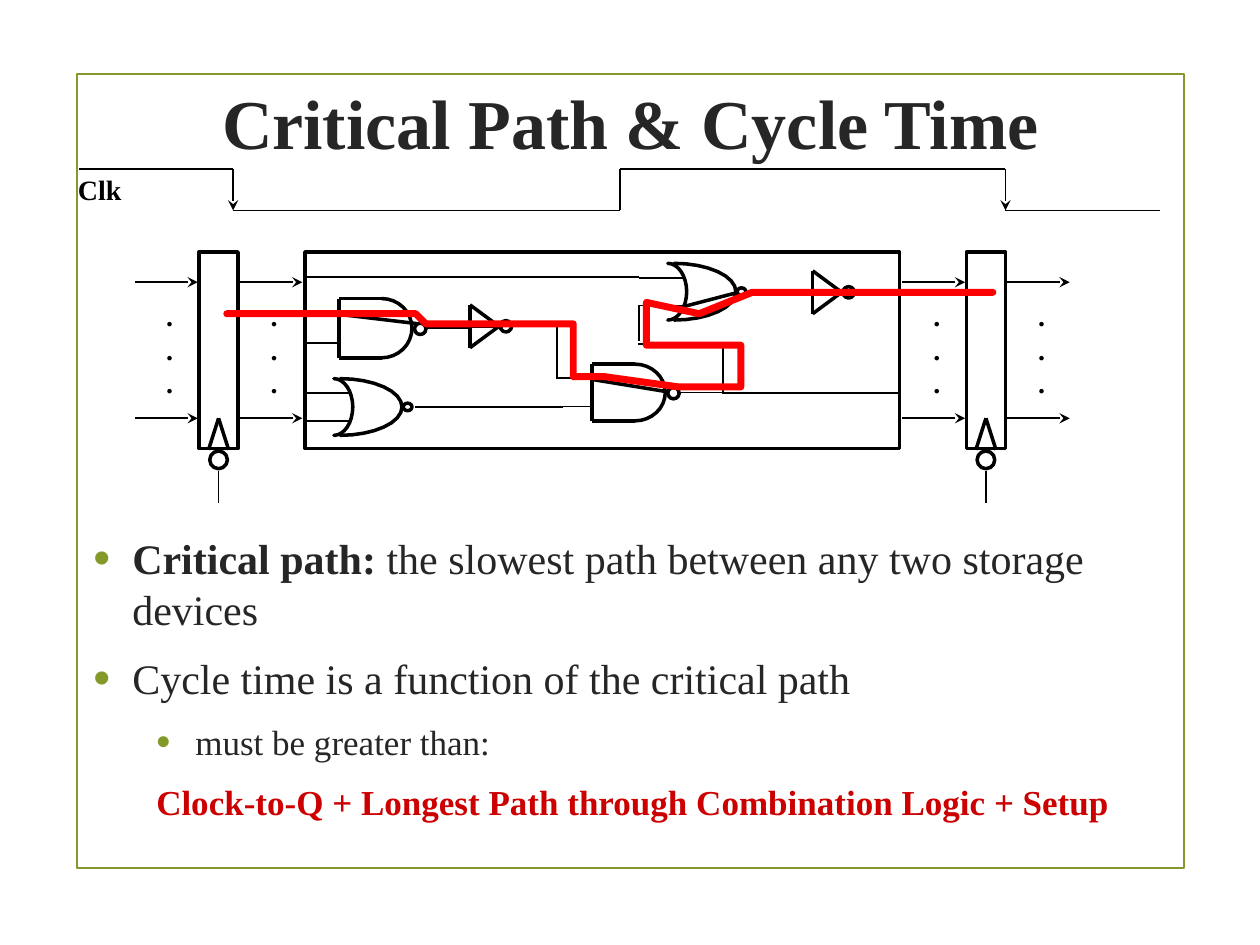
from dataclasses import dataclass
from itertools import pairwise
from math import cos, pi, sin

from lxml.etree import SubElement
from pptx import Presentation
from pptx.dml.color import RGBColor
from pptx.enum.shapes import MSO_CONNECTOR as Connector, MSO_SHAPE as Shape
from pptx.enum.text import MSO_ANCHOR as Anchor, PP_ALIGN as Align
from pptx.oxml.ns import qn
from pptx.util import Cm, Length, Pt

COLORS = {"ink": "000000", "text": "262626", "accent": "83992A",
          "formula": "CC0000", "critical": "FF0000"}
FONT = "Times New Roman"
THIN, THICK = 1, 2
GATE_STEPS = 16

Point = tuple[float, float]


@dataclass(frozen=True)
class Words:
    text: str
    size: float
    bold: bool = False
    color: str = "text"


@dataclass(frozen=True)
class Item:
    words: tuple[Words, ...]
    level: int = 0
    bullet: bool = True


def inch(value: float) -> Length:
    """Coordinates on this slide are in inches."""
    return Cm(value * 2.54)


def rgb(name: str) -> RGBColor:
    return RGBColor.from_string(COLORS[name])


deck = Presentation()
deck.slide_width, deck.slide_height = Cm(25.4), Cm(19.05)
page = deck.slides.add_slide(deck.slide_layouts[6])
shapes = page.shapes


# Drawing helpers
def outline(shape, color: str, width: float) -> None:
    shape.shadow.inherit = False
    shape.fill.background()
    shape.line.color.rgb = rgb(color)
    shape.line.width = Pt(width)


def add_outline(kind: Shape, x: float, y: float, w: float, h: float,
                width: float = THICK, color: str = "ink") -> None:
    shape = shapes.add_shape(kind, inch(x), inch(y), inch(w), inch(h))
    outline(shape, color, width)


def add_line(start: Point, end: Point, width: float = THIN, arrow: bool = False) -> None:
    line = shapes.add_connector(Connector.STRAIGHT, *map(inch, start + end))
    line.line.color.rgb = rgb("ink")
    line.line.width = Pt(width)
    if arrow:
        SubElement(line.line._get_or_add_ln(), qn("a:tailEnd"), type="stealth")
    SubElement(line._element.spPr, qn("a:effectLst"))


def add_path(points: list[Point], width: float = THICK, color: str = "ink") -> None:
    corners = [(inch(x), inch(y)) for x, y in points]
    builder = shapes.build_freeform(*corners[0])
    builder.add_line_segments(corners[1:], close=False)
    path = builder.convert_to_shape()
    outline(path, color, width)
    ln = path.line._get_or_add_ln()
    ln.set("cap", "rnd")
    SubElement(ln, qn("a:round"))


def add_half_ellipse(x: float, y: float, rx: float, ry: float) -> None:
    angles = [pi * (step / GATE_STEPS - 0.5) for step in range(GATE_STEPS + 1)]
    add_path([(x + rx * cos(a), y + ry * sin(a)) for a in angles])


def add_box(x: float, y: float, w: float, h: float,
            margins: Point = (0.07, 0.03), wrap: bool = True):
    frame = shapes.add_textbox(*map(inch, (x, y, w, h))).text_frame
    frame.word_wrap = wrap
    frame.margin_left = frame.margin_right = inch(margins[0])
    frame.margin_top = frame.margin_bottom = inch(margins[1])
    return frame


def add_words(para, words: Words) -> None:
    span = para.add_run()
    span.text = words.text
    span.font.name, span.font.size, span.font.bold = FONT, Pt(words.size), words.bold
    span.font.color.rgb = rgb(words.color)


def add_label(x: float, y: float, w: float, h: float, lines: list[str]) -> None:
    box = add_box(x, y, w, h, (0.1, 0.05), wrap=False)
    for index, line in enumerate(lines):
        para = box.add_paragraph() if index else box.paragraphs[0]
        add_words(para, Words(line, 16, True, "ink"))


def add_item(para, item: Item, first: bool) -> None:
    props = para._p.get_or_add_pPr()
    props.set("marL", str(inch(0.31 + 0.5 * item.level)))
    props.set("indent", str(-inch(0.31)))
    para.level = item.level
    para.space_before = Pt(0 if first else item.words[0].size * 0.2)
    para.space_after = Pt(6)
    if item.bullet:
        color = SubElement(props, qn("a:buClr"))
        SubElement(color, qn("a:srgbClr"), val=COLORS["accent"])
        SubElement(props, qn("a:buSzPct"), val="115000")
        SubElement(props, qn("a:buFont"), typeface="Arial")
        SubElement(props, qn("a:buChar"), char="•")
    for words in item.words:
        add_words(para, words)


# Circuit parts
def add_register(x: float) -> None:
    add_outline(Shape.RECTANGLE, x, 2, 0.31, 1.56)
    middle = x + 0.155
    add_line((middle, 3.74), (middle, 3.99))
    for side in (-0.08, 0.08):
        add_line((middle + side, 3.57), (middle, 3.32), THICK)
    add_outline(Shape.OVAL, middle - 0.07, 3.58, 0.14, 0.14)
    for start in (x - 0.51, x + 0.32):
        for y in (2.24, 3.32):
            add_line((start, y), (start + 0.5, y), arrow=True)
        add_label(start + 0.15, 2.32, 0.26, 0.9, ["."] * 3)


def add_nand(x: float, y: float, half: float) -> None:
    add_half_ellipse(x + 0.34, y, 0.24, half)
    for edge in (y - half, y + half):
        add_line((x + 0.34, edge), (x, edge), THICK)
        add_line((x - 0.28, (y + edge) / 2), (x, (y + edge) / 2))
    add_line((x, y - half), (x, y + half), THICK)
    add_outline(Shape.OVAL, x + 0.6, y - 0.04, 0.09, 0.09)
    add_line((x + 0.7, y), (x + 1.05, y))


def add_nor(x: float, y: float) -> None:
    add_half_ellipse(x + 0.05, y, 0.49, 0.225)
    add_half_ellipse(x, y, 0.15, 0.225)
    add_outline(Shape.OVAL, x + 0.55, y - 0.03, 0.07, 0.06)
    add_line((x + 0.64, y), (x + 1.05, y))
    for side in (-0.11, 0.11):
        add_line((x - 0.23, y + side), (x + 0.12, y + side))


def add_inverter(x: float, y: float) -> None:
    corners = [(x, y - 0.17), (x + 0.23, y), (x, y + 0.17), (x, y - 0.17)]
    for start, end in pairwise(corners):
        add_line(start, end, THICK)
    add_outline(Shape.OVAL, x + 0.24, y - 0.045, 0.09, 0.09)
    add_line((x - 0.29, y), (x, y))
    add_line((x + 0.35, y), (x + 0.7, y))


# Frame and title
add_outline(Shape.RECTANGLE, 0.61, 0.59, 8.79, 6.3, 1.25, "accent")
title = add_box(0.59, 0.6, 8.83, 0.73)
title.vertical_anchor = Anchor.MIDDLE
title.paragraphs[0].alignment = Align.CENTER
add_words(title.paragraphs[0], Words("Critical Path & Cycle Time", 40, True))

# Bullets
ITEMS = [
    Item((Words("Critical path: ", 24, True),
          Words("the slowest path between any two storage devices", 24))),
    Item((Words("Cycle time is a function of the critical path", 24),)),
    Item((Words("must be greater than:", 20),), 1),
    Item((Words("Clock-to-Q + Longest Path through Combination Logic + Setup",
                20, True, "formula"),), 1, bullet=False),
]
body = add_box(0.67, 4.2, 8.95, 2)
for number, entry in enumerate(ITEMS):
    paragraph = body.add_paragraph() if number else body.paragraphs[0]
    add_item(paragraph, entry, first=number == 0)

# Clock signal, with an arrow on each falling edge
HIGH, LOW = 1.34, 1.67
CLOCK = [(0.63, HIGH), (1.85, HIGH), (1.85, LOW), (4.92, LOW),
         (4.92, HIGH), (7.98, HIGH), (7.98, LOW), (9.21, LOW)]
for begin, finish in pairwise(CLOCK):
    add_line(begin, finish, arrow=begin[1] < finish[1])
add_label(0.52, 1.32, 0.55, 0.37, ["Clk"])

# Registers, logic block and gates
for left in (1.58, 7.67):
    add_register(left)
add_outline(Shape.RECTANGLE, 2.42, 2, 4.72, 1.56)
add_nand(2.69, 2.605, 0.235)
add_nand(4.7, 3.115, 0.225)
for left, center in ((2.65, 3.23), (5.3, 2.315)):
    add_nor(left, center)
for left, center in ((6.45, 2.32), (3.73, 2.59)):
    add_inverter(left, center)

# Wires between gates, then the strokes through the gates
WIRES = [((4.42, 2.59), (4.42, 3.01)), ((3.7, 3.23), (4.47, 3.23)),
         ((5.07, 2.42), (5.07, 2.71)), ((5.06, 2.73), (5.76, 2.73)),
         ((5.74, 2.73), (5.74, 3.12)), ((2.42, 2.2), (5.07, 2.2)),
         ((5.73, 3.12), (7.14, 3.12))]
STROKES = [((2.65, 2.49), (3.32, 2.57)), ((3.74, 2.59), (3.99, 2.59)),
           ((4.69, 3.01), (5.3, 3.11)), ((5.4, 2.44), (5.86, 2.32)),
           ((6.44, 2.32), (6.69, 2.32))]
for group, weight in ((WIRES, THIN), (STROKES, THICK)):
    for begin, finish in group:
        add_line(begin, finish, weight)

# Critical path
add_path([(1.8, 2.49), (3.3, 2.49), (3.38, 2.57), (4.55, 2.57), (4.55, 2.99),
          (4.8, 2.99), (5.38, 3.07), (5.88, 3.07), (5.88, 2.74), (5.13, 2.74),
          (5.13, 2.4), (5.55, 2.49), (5.97, 2.32), (7.88, 2.32)], 4, "critical")

deck.save("out.pptx")
